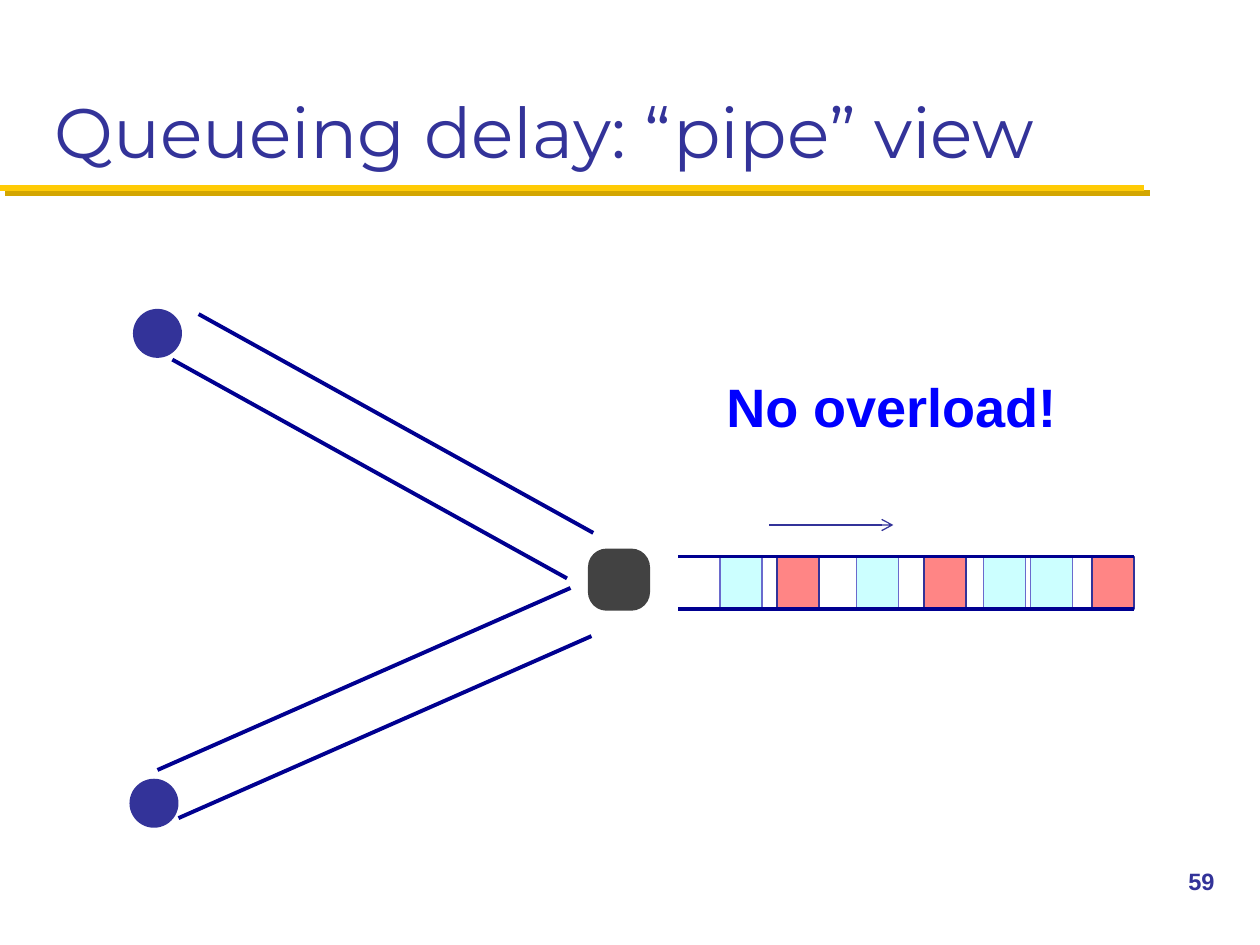
from dataclasses import dataclass

from lxml import etree
from pptx import Presentation
from pptx.dml.color import RGBColor
from pptx.enum.shapes import MSO_CONNECTOR, MSO_SHAPE
from pptx.enum.text import MSO_ANCHOR
from pptx.oxml.ns import qn
from pptx.util import Pt

STRAIGHT = MSO_CONNECTOR.STRAIGHT
RECT, OVAL, ROUNDED = MSO_SHAPE.RECTANGLE, MSO_SHAPE.OVAL, MSO_SHAPE.ROUNDED_RECTANGLE
TOP, BOTTOM = MSO_ANCHOR.TOP, MSO_ANCHOR.BOTTOM


@dataclass(frozen=True)
class Theme:
    """Colours, fonts, type sizes and line widths of the slide."""
    indigo: str = "333399"
    wall: str = "000090"
    gold: str = "FFCB05"
    gold_shadow: str = "D3A600"
    router: str = "424242"
    message: str = "0000FF"
    cyan: str = "CCFFFF"
    cyan_edge: str = "6A6ACD"
    red: str = "FF8585"
    title_font: str = "Montserrat"
    body_font: str = "Arial"
    title_size: float = 40
    message_size: float = 30.9
    number_size: float = 13.5
    rule_width: float = 3.5
    wall_width: float = 2.25
    thin_width: float = 0.75


T = Theme()


def add_line(s, x1, y1, x2, y2, color, width):
    """Draw a straight line without a shadow and return it."""
    line = s.shapes.add_connector(STRAIGHT, Pt(x1), Pt(y1), Pt(x2), Pt(y2))
    line.line.color.rgb = RGBColor.from_string(color)
    line.line.width = Pt(width)
    etree.SubElement(line._element.spPr, qn("a:effectLst"))
    return line


def add_block(s, kind, x, y, w, h, fill, edge=None):
    """Draw a filled shape with an optional thin outline and return it."""
    sp = s.shapes.add_shape(kind, Pt(x), Pt(y), Pt(w), Pt(h))
    sp.shadow.inherit = False
    sp.fill.solid()
    sp.fill.fore_color.rgb = RGBColor.from_string(fill)
    if edge:
        sp.line.color.rgb = RGBColor.from_string(edge)
        sp.line.width = Pt(T.thin_width)
    else:
        sp.line.fill.background()
    return sp


def add_text(s, x, y, w, h, text, font, size, color, bold=False, anchor=TOP):
    """Place one run of text in a wrapping box."""
    tf = s.shapes.add_textbox(Pt(x), Pt(y), Pt(w), Pt(h)).text_frame
    tf.word_wrap = True
    tf.vertical_anchor = anchor
    r = tf.paragraphs[0].add_run()
    r.text = text
    r.font.name = font
    r.font.size = Pt(size)
    r.font.bold = bold
    r.font.color.rgb = RGBColor.from_string(color)


def add_header(s, x, y, w, h):
    """Place the title and the gold rule with its hard shadow."""
    rule = add_line(s, 0, y + h + 5.5, 654, y + h + 5.5, T.gold, T.rule_width)
    effects = rule._element.spPr.find(qn("a:effectLst"))
    shadow = etree.SubElement(effects, qn("a:outerShdw"), dist=str(Pt(4.2)),
                              dir="2700000", algn="ctr", rotWithShape="0")
    etree.SubElement(shadow, qn("a:srgbClr"), val=T.gold_shadow)
    add_text(s, x, y, w, h, "Queueing delay: “pipe” view",
             T.title_font, T.title_size, T.indigo, anchor=BOTTOM)


def add_pipe(s, x, y, w, h, dx, dy):
    """Draw two parallel walls, the second offset from the first."""
    for i in range(2):
        left, top = x + i * dx, y + i * dy
        add_line(s, left, top, left + w, top + h, T.wall, T.wall_width)


def add_sources(s, x, y, size):
    """Draw the two senders and the pipes leading to the router."""
    add_pipe(s, x + 37.5, y + 3, 225.5, 125, -15, 26)
    add_pipe(s, x + 14, y + 263.5, 236, -104, 12, 27.5)
    for dx, dy in ((0, 0), (-2, 268.5)):
        add_block(s, OVAL, x + dx, y + dy, size, size, T.indigo)


def add_router(s, x, y, size):
    """Draw the router as a rounded square."""
    add_block(s, ROUNDED, x, y, size, size, T.router).adjustments[0] = 0.3


def add_outgoing(s, x, y, w, h):
    """Draw the outgoing pipe, its packets and the flow arrow."""
    add_pipe(s, x, y, w, 0, 0, h)
    for fill, edge, offsets in ((T.cyan, T.cyan_edge, (201.5, 174.5, 102, 24)),
                                (T.red, T.indigo, (56.5, 236.5, 140.5))):
        for dx in offsets:
            add_block(s, RECT, x + dx, y, 24, h, fill, edge)
    add_pipe(s, x + 2.5, y, w, 0, 0, h)
    arrow = add_line(s, x + 52, y - 18, x + 123, y - 18, T.indigo, T.thin_width)
    etree.SubElement(arrow.line._get_or_add_ln(), qn("a:tailEnd"), type="arrow")


def main():
    """Build the slide and save it."""
    prs = Presentation()
    prs.slide_width, prs.slide_height = Pt(720), Pt(540)
    s = prs.slides.add_slide(prs.slide_layouts[6])
    add_header(s, 24, 12, 672, 90)
    add_sources(s, 76, 176.5, 28)
    add_router(s, 336, 313.5, 35.5)
    add_outgoing(s, 387.5, 318, 258, 30)
    add_text(s, 408, 210, 246, 45, "No overload!",
             T.body_font, T.message_size, T.message, bold=True)
    add_text(s, 672, 492, 48, 36, "59",
             T.body_font, T.number_size, T.indigo, bold=True)
    prs.save("out.pptx")


if __name__ == "__main__":
    main()
